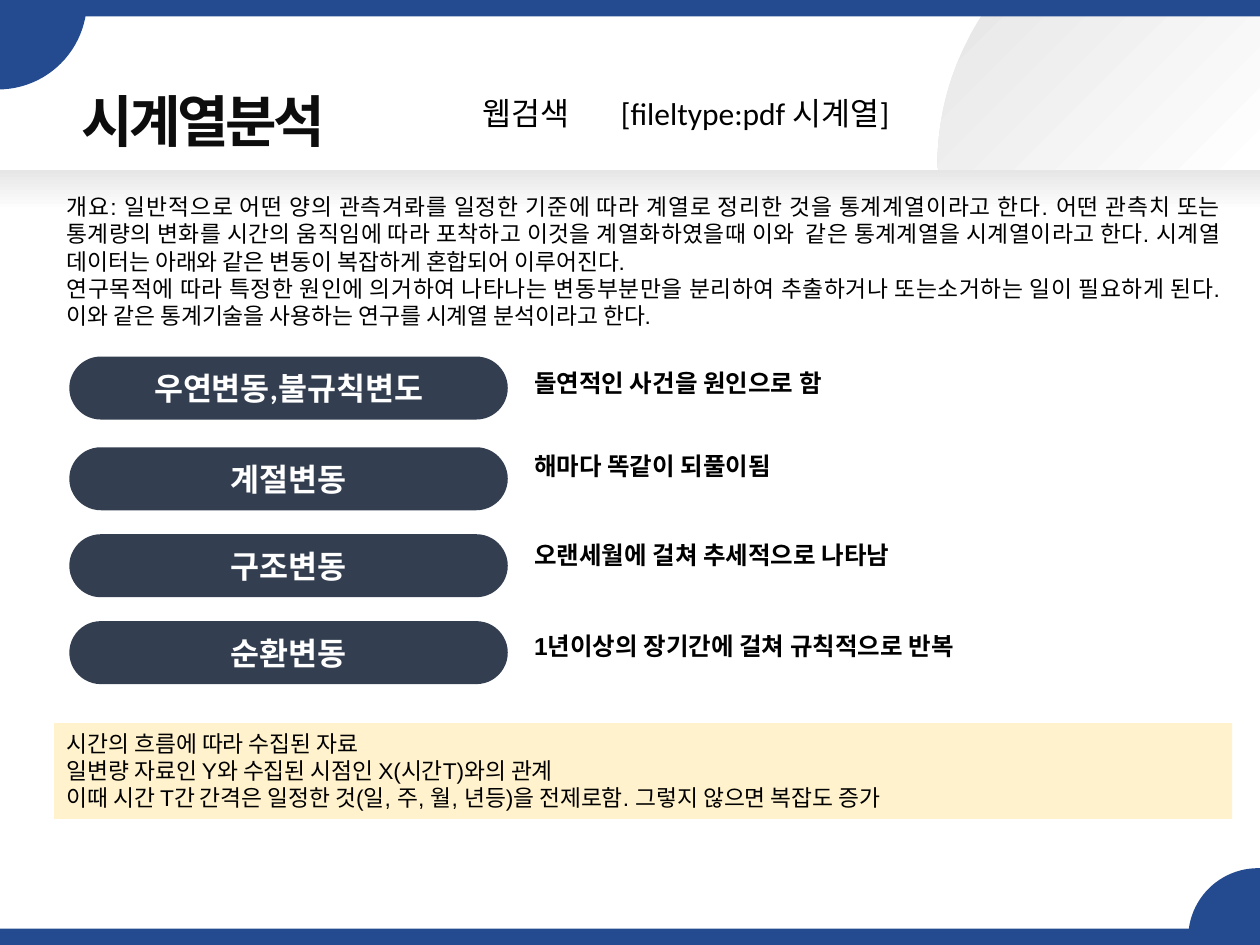
"""Build the slide on time series analysis."""
from lxml.etree import SubElement
from pptx import Presentation
from pptx.dml.color import RGBColor
from pptx.enum.shapes import MSO_SHAPE as Shape
from pptx.enum.text import MSO_ANCHOR as Anchor, MSO_AUTO_SIZE as AutoSize, PP_ALIGN as Align
from pptx.oxml.ns import qn
from pptx.util import Inches, Pt

BLUE, NAVY, CREAM = "244B90", "333F50", "FFF2CC"
BLACK, WHITE, GRAY = "000000", "FFFFFF", "E7E6E6"

TITLE = "시계열분석"
SEARCH = "웹검색\t[fileltype:pdf 시계열]"
OVERVIEW = [
    "개요: 일반적으로 어떤 양의 관측겨롸를 일정한 기준에 따라 계열로 정리한 것을 통계계열이라고 한다. "
    "어떤 관측치 또는 통계량의 변화를 시간의 움직임에 따라 포착하고 이것을 계열화하였을때 "
    "이와  같은 통계계열을 시계열이라고 한다. "
    "시계열 데이터는 아래와 같은 변동이 복잡하게 혼합되어 이루어진다.",
    "연구목적에 따라 특정한 원인에 의거하여 나타나는 변동부분만을 분리하여 추출하거나 "
    "또는소거하는 일이 필요하게 된다. 이와 같은 통계기술을 사용하는 연구를 시계열 분석이라고 한다.",
]
VARIATIONS = [
    ("우연변동,불규칙변도", 2.83, "돌연적인 사건을 원인으로 함", 2.87, 3.56),
    ("계절변동", 3.55, "해마다 똑같이 되풀이됨", 3.53, 3.56),
    ("구조변동", 4.24, "오랜세월에 걸쳐 추세적으로 나타남", 4.24, 3.56),
    ("순환변동", 4.93, "1년이상의 장기간에 걸쳐 규칙적으로 반복", 4.96, 4.46),
]
SUMMARY = [
    "시간의 흐름에 따라 수집된 자료",
    "일변량 자료인 Y와 수집된 시점인 X(시간T)와의 관계",
    "이때 시간 T간 간격은 일정한 것(일, 주, 월, 년등)을 전제로함. 그렇지 않으면 복잡도 증가",
]
CORNER_CURVE = [(7.82, 0.08), (7.58, 0.44), (7.44, 0.86), (7.44, 1.32)]
CURVE_STEPS = 24


def color(hex_code):
    return RGBColor.from_string(hex_code)


def paint(fill, hex_code):
    fill.solid()
    fill.fore_color.rgb = color(hex_code)


def paint_gradient(fill, start, end, clockwise):
    fill.gradient()
    fill.gradient_angle = 360 - clockwise
    for stop, hex_code in zip(fill.gradient_stops, (start, end)):
        stop.color.rgb = color(hex_code)


def flatten(shape):
    shape.line.fill.background()
    shape.shadow.inherit = False
    return shape


def add_block(slide, kind, box, fill=None):
    block = flatten(slide.shapes.add_shape(kind, *map(Inches, box)))
    if fill:
        paint(block.fill, fill)
    return block


def add_box(slide, box):
    return slide.shapes.add_textbox(*map(Inches, box))


def write(shape, lines, size, font="Arial", ink=BLACK, bold=False,
          align=Align.JUSTIFY, anchor=Anchor.TOP, grow=True):
    frame = shape.text_frame
    frame.word_wrap = True
    frame.vertical_anchor = anchor
    frame.auto_size = AutoSize.SHAPE_TO_FIT_TEXT if grow else AutoSize.NONE
    for index, line in enumerate(lines):
        paragraph = frame.add_paragraph() if index else frame.paragraphs[0]
        paragraph.alignment = align
        run = paragraph.add_run()
        run.text = line
        run.font.size, run.font.name, run.font.bold = Pt(size), font, bold
        run.font.color.rgb = color(ink)
    return frame.paragraphs[0]


def curve_point(t):
    weights = ((1 - t) ** 3, 3 * t * (1 - t) ** 2, 3 * t ** 2 * (1 - t), t ** 3)
    return tuple(Inches(sum(w * p[axis] for w, p in zip(weights, CORNER_CURVE)))
                 for axis in (0, 1))


def add_backdrop(slide):
    add_block(slide, Shape.RECTANGLE, (0, 7.37, 10, 0.13), BLUE)
    add_block(slide, Shape.OVAL, (9.43, 6.89, 1.11, 1.11), BLUE)
    outline = slide.shapes.build_freeform(Inches(7.45), Inches(1.35))
    corners = [(Inches(x), Inches(y)) for x, y in ((10, 1.35), (10, 0), (7.88, 0))]
    curve = [curve_point(step / CURVE_STEPS) for step in range(CURVE_STEPS + 1)]
    outline.add_line_segments(corners + curve, close=True)
    paint_gradient(flatten(outline.convert_to_shape()).fill, GRAY, WHITE, 45)
    add_block(slide, Shape.RECTANGLE, (0, 0, 10, 0.13), BLUE)
    add_block(slide, Shape.OVAL, (-0.72, -0.7, 1.41, 1.41), BLUE)
    header_shade = add_block(slide, Shape.RECTANGLE, (0, 1.35, 10, 0.32))
    paint_gradient(header_shade.fill, GRAY, WHITE, 90)


def add_heading(slide):
    title = write(add_box(slide, (0.55, 0.61, 8.62, 0.75)), [TITLE], 32, "Calibri",
                  bold=True, align=Align.LEFT, anchor=Anchor.MIDDLE, grow=False)
    title.line_spacing = 0.9
    title_run = title.runs[0]
    paint_gradient(title_run.font.fill, "0D0D0D", "404040", 270)
    title_run._r.get_or_add_rPr().set("spc", "-200")


def add_search(slide):
    search = write(add_box(slide, (3.73, 0.7, 3.46, 0.4)), [SEARCH], 18, "Calibri",
                   align=Align.LEFT)
    tabs = SubElement(search._p.get_or_add_pPr(), qn("a:tabLst"))
    SubElement(tabs, qn("a:tab"), pos=str(Inches(1.1)), algn="l")


def add_variations(slide):
    for name, name_top, meaning, meaning_top, meaning_width in VARIATIONS:
        pill = add_block(slide, Shape.ROUNDED_RECTANGLE, (0.55, name_top, 3.48, 0.5), NAVY)
        pill.adjustments[0] = 0.5
        write(pill, [name], 18, "Calibri", WHITE, True, Align.CENTER, Anchor.MIDDLE, False)
        write(add_box(slide, (4.14, meaning_top, meaning_width, 0.34)), [meaning], 14, bold=True)


def main():
    deck = Presentation()
    deck.slide_width, deck.slide_height = Inches(10), Inches(7.5)
    slide = deck.slides.add_slide(deck.slide_layouts[6])
    add_backdrop(slide)
    add_heading(slide)
    write(add_box(slide, (0.43, 1.48, 9.35, 1.19)), OVERVIEW, 13)
    add_variations(slide)
    write(add_block(slide, Shape.RECTANGLE, (0.43, 5.74, 9.35, 0.76), CREAM), SUMMARY, 13)
    add_search(slide)
    deck.save("out.pptx")


if __name__ == "__main__":
    main()
